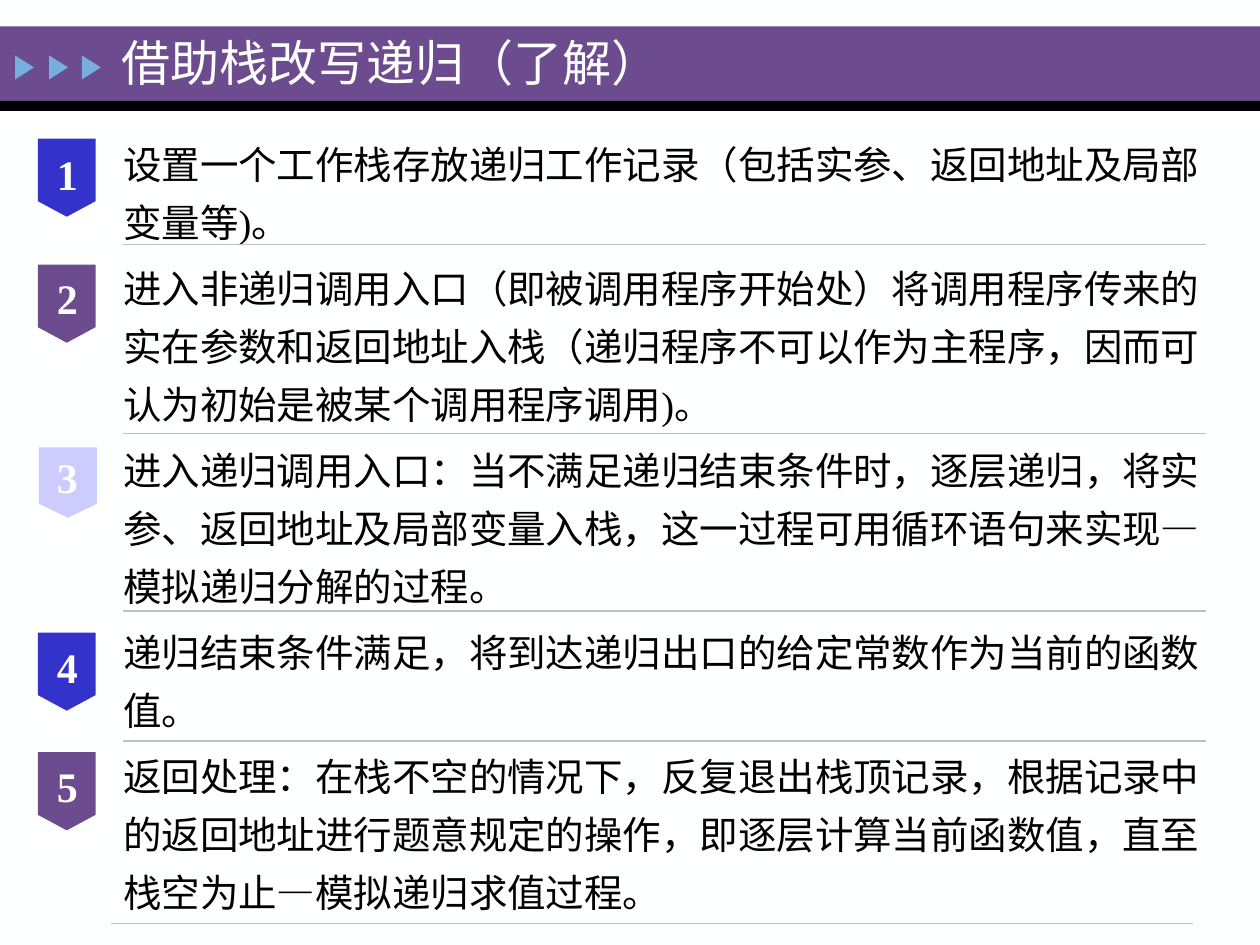
from pptx import Presentation
from pptx.dml.color import RGBColor
from pptx.enum import shapes, text
from pptx.oxml import ns, xmlchemy
from pptx.util import Inches, Pt

FONT = "Times New Roman"
HUES = {
    "paper": "FEFFFF", "white": "FFFFFF", "black": "000000",
    "plum": "6C4C8F", "blue": "3333CC", "lilac": "CCCCFF",
    "sky": "76AEDD", "rule": "C0C0C0",
}
KIND = shapes.MSO_SHAPE

TITLE = "借助栈改写递归（了解）"
STEPS = [
    "设置一个工作栈存放递归工作记录（包括实参、返回地址及局部变量等)。",
    "进入非递归调用入口（即被调用程序开始处）将调用程序传来的实在参数和返回地址入栈"
    "（递归程序不可以作为主程序，因而可认为初始是被某个调用程序调用)。",
    "进入递归调用入口：当不满足递归结束条件时，逐层递归，将实参、返回地址及局部变量入栈，"
    "这一过程可用循环语句来实现—模拟递归分解的过程。",
    "递归结束条件满足，将到达递归出口的给定常数作为当前的函数值。",
    "返回处理：在栈不空的情况下，反复退出栈顶记录，根据记录中的返回地址进行题意规定的操作，"
    "即逐层计算当前函数值，直至栈空为止—模拟递归求值过程。",
]
# Flag left, top, height and hue; top of its number
FLAGS = [
    (0.3, 1.1, 0.62, "blue", 1.07),
    (0.3, 2.1, 0.62, "plum", 2.06),
    (0.31, 3.55, 0.56, "lilac", 3.48),
    (0.3, 5.02, 0.62, "blue", 4.99),
    (0.3, 5.97, 0.62, "plum", 5.93),
]
# Left end and height of each dividing rule
RULES = [(0.98, 1.94), (0.98, 3.44), (0.98, 4.85), (0.98, 5.88), (0.88, 7.33)]


def tint(name):
    return RGBColor.from_string(HUES[name])


def add_form(slide, kind, box, hue=None):
    form = slide.shapes.add_shape(kind, *map(Inches, box))
    form.shadow.inherit = False
    form.line.fill.background()
    if hue:
        form.fill.solid()
        form.fill.fore_color.rgb = tint(hue)
    else:
        form.fill.background()
    return form


def write(form, lines, size, hue, bold=False, align=text.PP_ALIGN.LEFT,
          pitch=1.0, gap=0, inset=0.1):
    frame = form.text_frame
    frame.word_wrap = True
    frame.vertical_anchor = text.MSO_ANCHOR.MIDDLE
    frame.margin_left = frame.margin_right = Inches(inset)
    for i, line in enumerate(lines):
        para = frame.paragraphs[0] if i == 0 else frame.add_paragraph()
        para.alignment = align
        para.line_spacing = pitch
        para.space_before = Pt(gap if i else 0)
        run = para.add_run()
        run.text = line
        run.font.name = FONT
        run.font.size = Pt(size)
        run.font.bold = bold
        run.font.color.rgb = tint(hue)


def add_text(slide, box, lines, **style):
    write(slide.shapes.add_textbox(*map(Inches, box)), lines, **style)


def add_rule(slide, left, top, width=8.59):
    rule = slide.shapes.add_connector(
        shapes.MSO_CONNECTOR.STRAIGHT,
        Inches(left), Inches(top), Inches(left + width), Inches(top))
    rule.line.color.rgb = tint("rule")
    rule.line.width = Pt(0.75)
    rule._element.spPr.append(xmlchemy.OxmlElement("a:effectLst"))


def add_flag(slide, num, left, top, height, hue, label):
    add_form(slide, KIND.FLOWCHART_OFFPAGE_CONNECTOR,
             (left, top, 0.46, height), hue)
    disc = add_form(slide, KIND.OVAL, (0.27, label, 0.53, 0.61))
    write(disc, [str(num)], size=24, hue="white", bold=True,
          align=text.PP_ALIGN.CENTER, inset=0)


def add_head(slide):
    add_form(slide, KIND.RECTANGLE, (0, 0.21, 10, 0.59), "plum")
    add_form(slide, KIND.RECTANGLE, (0, 0.8, 10, 0.08), "black")
    for left in (0.1, 0.37, 0.63):
        mark = add_form(slide, KIND.ISOSCELES_TRIANGLE,
                        (left, 0.46, 0.19, 0.15), "sky")
        mark.rotation = 90
    add_text(slide, (0.87, 0.21, 6.53, 0.57), [TITLE], size=28, hue="paper")


def main():
    deck = Presentation()
    deck.slide_width, deck.slide_height = Inches(10), Inches(7.5)
    slide = deck.slides.add_slide(deck.slide_layouts[6])
    slide.background.fill.solid()
    slide.background.fill.fore_color.rgb = tint("paper")

    # Title band
    add_head(slide)
    # Steps
    add_text(slide, (0.88, 0.96, 8.98, 6.37), STEPS, size=22, hue="black",
             pitch=1.25, gap=5)
    # Numbered flags
    for num, flag in enumerate(FLAGS, 1):
        add_flag(slide, num, *flag)
    # Dividing rules
    for left, top in RULES:
        add_rule(slide, left, top)

    deck.save("out.pptx")


if __name__ == "__main__":
    main()
